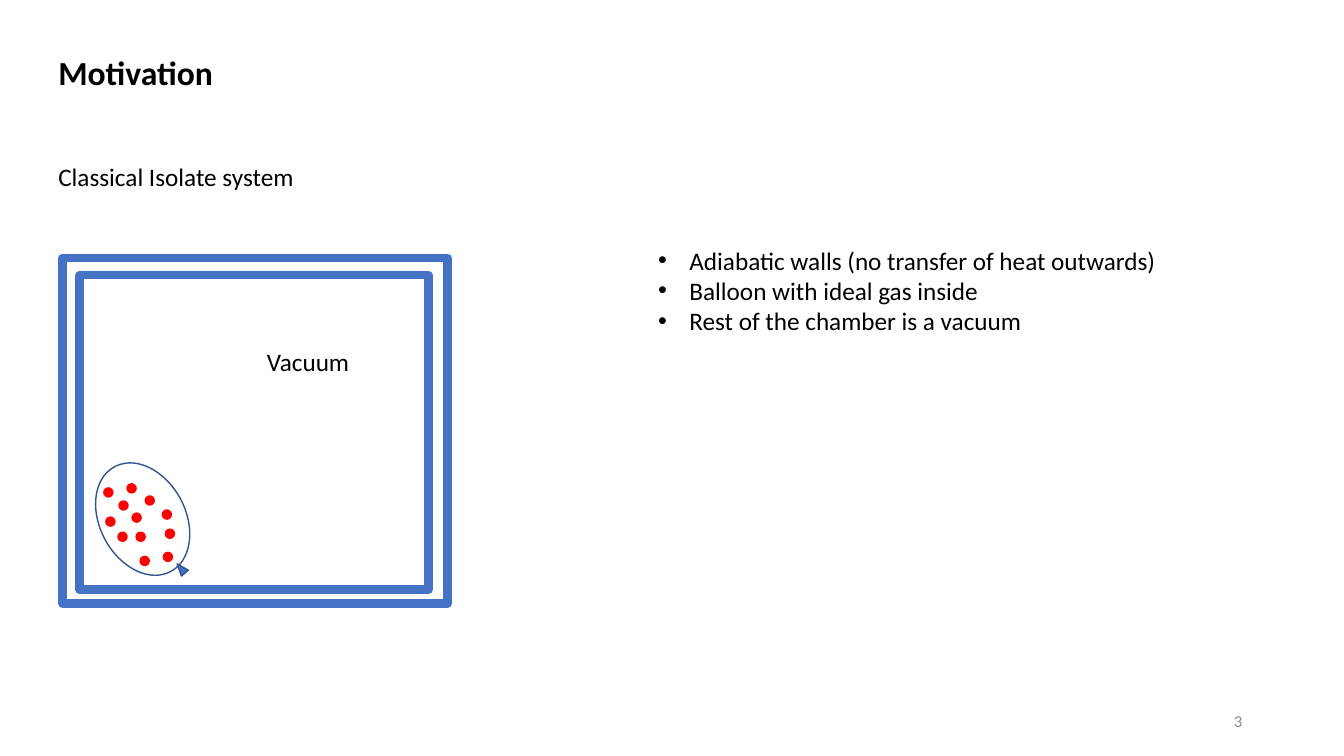
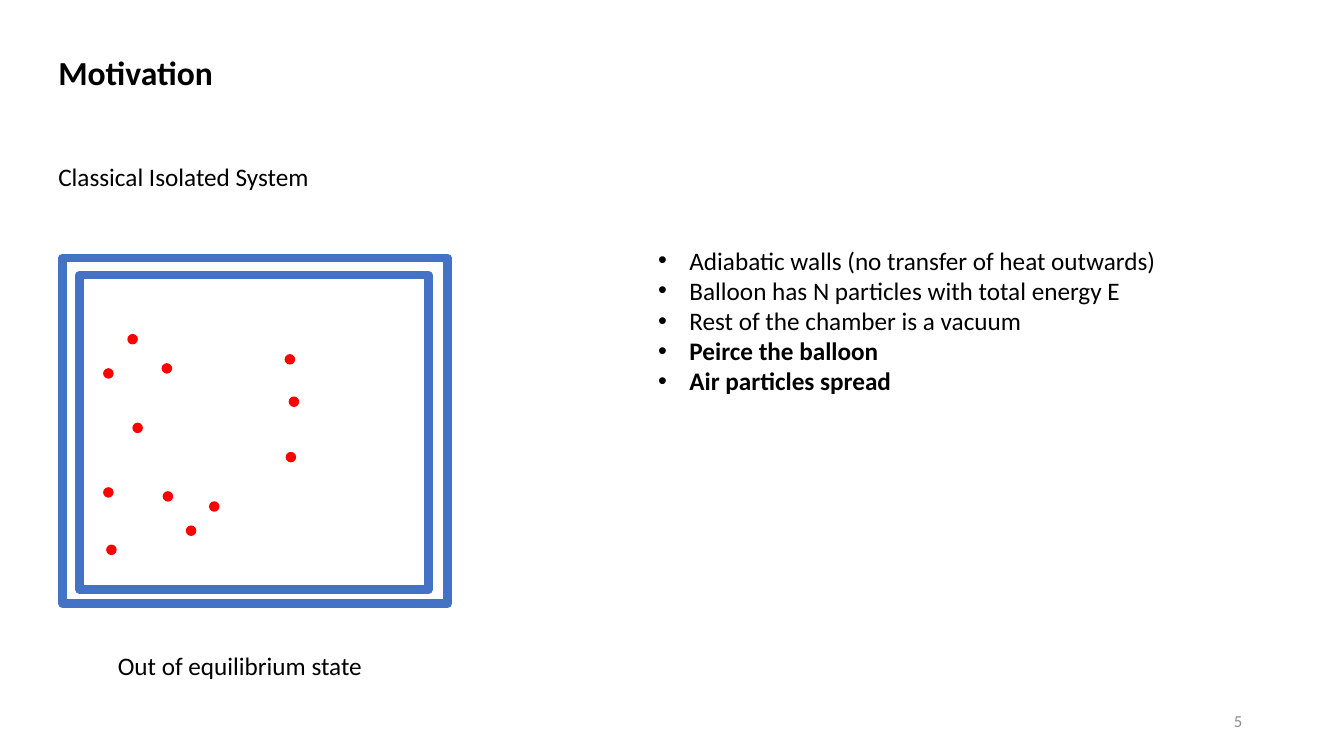
from lxml.etree import SubElement
from pptx import Presentation
from pptx.dml.color import RGBColor
from pptx.enum.shapes import MSO_SHAPE
from pptx.enum.text import MSO_ANCHOR, PP_ALIGN
from pptx.oxml.ns import qn
from pptx.util import Inches, Pt

FONT = "Calibri"
BLACK, GREY = "000000", "8C8C8C"
BLUE, DARK_BLUE, RED = "4472C4", "325491", "FF0000"

TITLE = "Motivation"
TITLE_STYLE = {"size": Pt(24), "bold": True}
FOOTER_STYLE = {"size": Pt(12)}
BODY_STYLE = {"size": Pt(18)}

WALLS = [(0.79, 2.73, 3.46, 3.12), (0.62, 2.56, 3.82, 3.43)]
PARTICLE_SIZE = 0.09
BULLET_INDENT = 0.31

# Each bullet is (text, bold); each label is (text, left, top, width).
SLIDES = [
    {
        "number": "3",
        "subtitle": "Classical Isolate system",
        "bullets": [
            ("Adiabatic walls (no transfer of heat outwards)", False),
            ("Balloon with ideal gas inside", False),
            ("Rest of the chamber is a vacuum", False),
        ],
        "balloon": True,
        "particles": [
            (1.44, 4.92), (1.35, 5.28), (1.64, 5.25), (1.62, 5.48),
            (1.39, 5.52), (1.61, 5.06), (1.31, 5.09), (1.26, 4.80),
            (1.18, 4.97), (1.03, 4.84), (1.17, 5.28), (1.05, 5.13),
        ],
        "label": ("Vacuum", 2.55, 3.39, 1.2),
    },
    {
        "number": "5",
        "subtitle": "Classical Isolated System",
        "bullets": [
            ("Adiabatic walls (no transfer of heat outwards)", False),
            ("Balloon has N particles with total energy E", False),
            ("Rest of the chamber is a vacuum", False),
            ("Peirce the balloon", True),
            ("Air particles spread", True),
        ],
        "balloon": False,
        "particles": [
            (1.61, 3.61), (2.08, 4.98), (2.87, 3.94), (2.84, 4.49),
            (1.85, 5.22), (2.83, 3.52), (1.32, 4.20), (1.27, 3.32),
            (1.03, 3.66), (1.03, 4.84), (1.62, 4.88), (1.06, 5.41),
        ],
        "label": ("Out of equilibrium state", 1.07, 6.4, 2.8),
    },
]


def rgb(value):
    return RGBColor.from_string(value)


def format_font(font, style, color=BLACK):
    for name, value in {"name": FONT, **style}.items():
        setattr(font, name, value)
    font.color.rgb = rgb(color)


def add_frame(page, left, top, width, height):
    box = page.shapes.add_textbox(*map(Inches, (left, top, width, height)))
    box.text_frame.word_wrap = True
    return box.text_frame


def add_text(page, text, place, style, color=BLACK):
    frame = add_frame(page, *place)
    para = frame.paragraphs[0]
    span = para.add_run()
    span.text = text
    format_font(span.font, style, color)
    return frame


def add_bullets(page, bullets):
    frame = add_frame(page, 6.43, 2.38, 5.4, 0.1 + 0.3 * len(bullets))
    for index, (text, bold) in enumerate(bullets):
        para = frame.add_paragraph() if index else frame.paragraphs[0]
        properties = para._p.get_or_add_pPr()
        properties.set("marL", str(Inches(BULLET_INDENT)))
        properties.set("indent", str(-Inches(BULLET_INDENT)))
        SubElement(properties, qn("a:buFont"), typeface="Arial")
        SubElement(properties, qn("a:buChar"), char="•")
        span = para.add_run()
        span.text = text
        format_font(span.font, {**BODY_STYLE, "bold": bold})


def add_outlined(page, kind, place, line, weight=1, fill=None, rotation=0):
    shape = page.shapes.add_shape(kind, *map(Inches, place))
    shape.shadow.inherit = False
    shape.rotation = rotation
    shape.line.color.rgb = rgb(line)
    shape.line.width = Pt(weight)
    if fill:
        shape.fill.solid()
        shape.fill.fore_color.rgb = rgb(fill)
    else:
        shape.fill.background()


def add_chamber(page, balloon, particles):
    for wall in WALLS:
        add_outlined(page, MSO_SHAPE.RECTANGLE, wall, BLUE, weight=6)
    if balloon:
        add_outlined(page, MSO_SHAPE.OVAL, (0.99, 4.56, 0.85, 1.18),
                     DARK_BLUE, rotation=331.8)
        add_outlined(page, MSO_SHAPE.ISOSCELES_TRIANGLE, (1.75, 5.58, 0.09, 0.12),
                     DARK_BLUE, fill=BLUE, rotation=320)
    for left, top in particles:
        add_outlined(page, MSO_SHAPE.OVAL, (left, top, PARTICLE_SIZE, PARTICLE_SIZE),
                     RED, fill=RED)


def add_footer(page, number):
    frame = add_text(page, number, (9.42, 6.95, 3, 0.4), FOOTER_STYLE, GREY)
    frame.vertical_anchor = MSO_ANCHOR.MIDDLE
    frame.paragraphs[0].alignment = PP_ALIGN.RIGHT


def build_page(deck, content):
    page = deck.slides.add_slide(deck.slide_layouts[6])
    add_text(page, TITLE, (0.48, 0.47, 2, 0.5), TITLE_STYLE)
    add_footer(page, content["number"])
    add_text(page, content["subtitle"], (0.48, 1.55, 3, 0.4), BODY_STYLE)
    add_chamber(page, content["balloon"], content["particles"])
    add_bullets(page, content["bullets"])
    text, left, top, width = content["label"]
    add_text(page, text, (left, top, width, 0.4), BODY_STYLE)


def main():
    deck = Presentation()
    deck.slide_width, deck.slide_height = Inches(13.33), Inches(7.5)
    for content in SLIDES:
        build_page(deck, content)
    deck.save("out.pptx")


if __name__ == "__main__":
    main()
